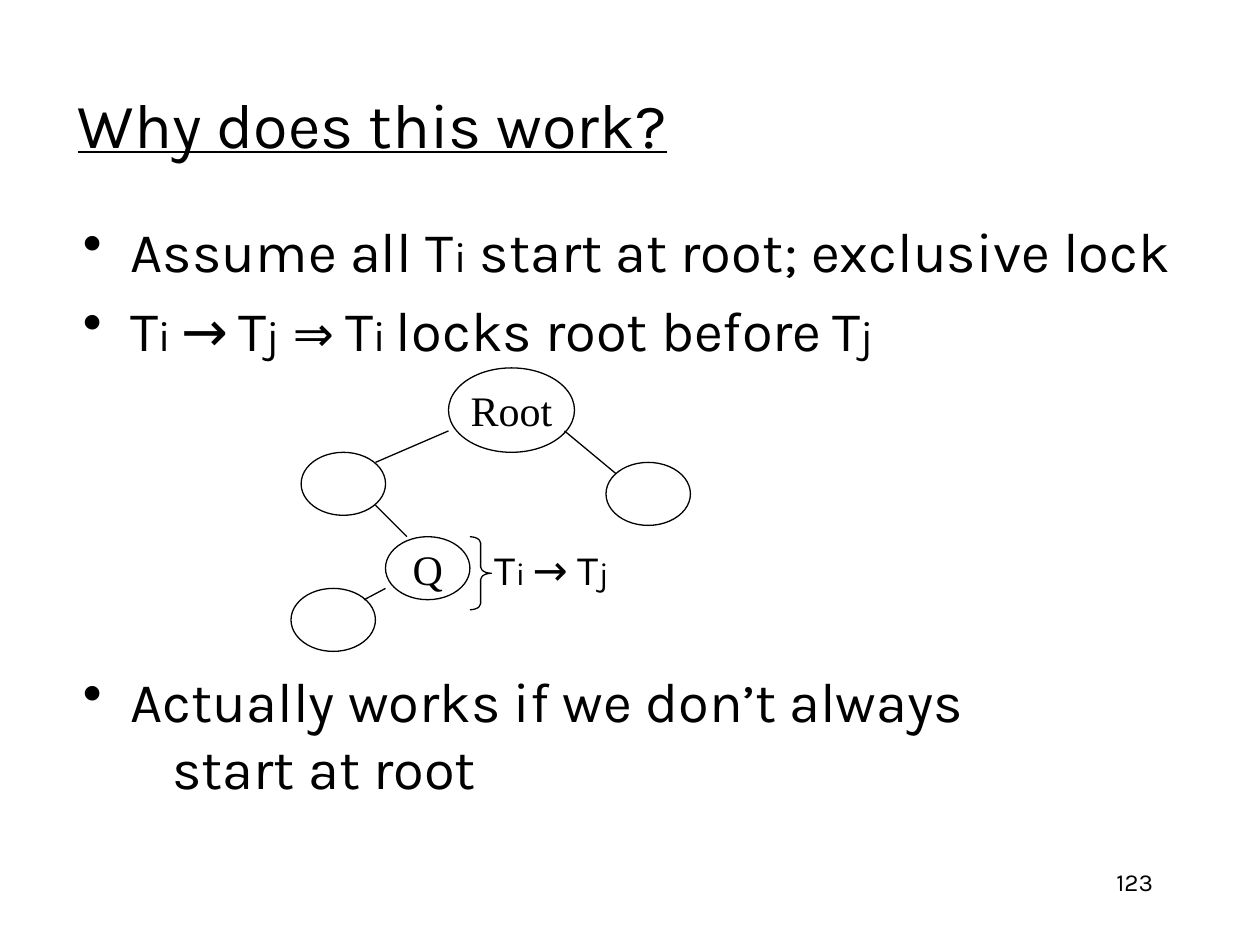
from lxml.etree import SubElement
from pptx import Presentation
from pptx.dml.color import RGBColor
from pptx.enum.shapes import MSO_CONNECTOR, MSO_SHAPE
from pptx.enum.text import MSO_ANCHOR, PP_ALIGN
from pptx.oxml.ns import qn
from pptx.util import Inches, Pt

COLORS = {"ink": "000000", "paper": "FFFFFF"}
SANS = "Karla"
SERIF = "Times New Roman"


def color(name):
    return RGBColor.from_string(COLORS[name])


def style_run(run, size, font=SANS):
    run.font.size = Pt(size)
    run.font.name = font
    run.font.color.rgb = color("ink")


def write_runs(paragraph, pieces):
    for text, size in pieces:
        run = paragraph.add_run()
        run.text = text
        style_run(run, size)


def add_box(slide, left, top, width, height, anchor=MSO_ANCHOR.TOP, wrap=True):
    box = slide.shapes.add_textbox(Inches(left), Inches(top), Inches(width), Inches(height))
    box.text_frame.word_wrap = wrap
    box.text_frame.vertical_anchor = anchor
    return box.text_frame


def add_title(slide, left, top, width, height):
    title = add_box(slide, left, top, width, height, MSO_ANCHOR.MIDDLE)
    title.text = "Why does this work?"
    heading = title.paragraphs[0].runs[0]
    style_run(heading, 36)
    heading.font.underline = True


def add_page_number(slide, left, top, width, height):
    number = add_box(slide, left, top, width, height)
    number.text = "123"
    number.paragraphs[0].alignment = PP_ALIGN.RIGHT
    style_run(number.paragraphs[0].runs[0], 14)


def set_indent(paragraph, margin, bullet):
    properties = paragraph._p.get_or_add_pPr()
    properties.set("marL", str(Inches(margin)))
    properties.set("indent", str(Inches(-margin if bullet else 0)))
    if bullet:
        SubElement(properties, qn("a:buChar")).set("char", "•")


def add_points(slide, left, top, width, height, points):
    body = add_box(slide, left, top, width, height)
    for index, (pieces, bullet) in enumerate(points):
        point = body.paragraphs[0] if index == 0 else body.add_paragraph()
        write_runs(point, pieces)
        point.space_before = Pt(6.4 if bullet else 0)
        set_indent(point, 0.38 if bullet else 0.71, bullet)


def draw_outline(shape):
    shape.shadow.inherit = False
    shape.line.color.rgb = color("ink")
    shape.line.width = Pt(0.75)


def add_node(slide, left, top, width, height, label):
    node = slide.shapes.add_shape(
        MSO_SHAPE.OVAL, Inches(left), Inches(top), Inches(width), Inches(height))
    draw_outline(node)
    node.fill.solid()
    node.fill.fore_color.rgb = color("paper")
    if label:
        frame = node.text_frame
        frame.word_wrap = False
        frame.vertical_anchor = MSO_ANCHOR.MIDDLE
        frame.text = label
        frame.paragraphs[0].alignment = PP_ALIGN.CENTER
        style_run(frame.paragraphs[0].runs[0], 24, SERIF)


def add_edge(slide, start_x, start_y, end_x, end_y):
    edge = slide.shapes.add_connector(
        MSO_CONNECTOR.STRAIGHT,
        Inches(start_x), Inches(start_y), Inches(end_x), Inches(end_y))
    edge.line.color.rgb = color("ink")
    edge.line.width = Pt(0.75)
    SubElement(edge._element.spPr, qn("a:effectLst"))


def add_tree(slide, left, top):
    nodes = [
        (1.25, 0, 1, 0.67, "Root"),
        (0.08, 0.67, 0.67, 0.5, ""),
        (2.5, 0.75, 0.67, 0.5, ""),
        (0.75, 1.34, 0.67, 0.5, "Q"),
        (0, 1.75, 0.67, 0.5, ""),
    ]
    edges = [
        (1.25, 0.5, 0.67, 0.75),
        (2.17, 0.5, 2.58, 0.84),
        (0.67, 1.09, 0.92, 1.34),
        (0.75, 1.75, 0.58, 1.84),
    ]
    for x, y, width, height, label in nodes:
        add_node(slide, left + x, top + y, width, height, label)
    for start_x, start_y, end_x, end_y in edges:
        add_edge(slide, left + start_x, top + start_y, left + end_x, top + end_y)

    brace = slide.shapes.add_shape(
        MSO_SHAPE.RIGHT_BRACE,
        Inches(left + 1.42), Inches(top + 1.34), Inches(0.17), Inches(0.58))
    brace.adjustments[0] = 0.29
    brace.fill.background()
    draw_outline(brace)

    order = add_box(slide, left + 1.35, top + 1.34, 1.44, 0.5, MSO_ANCHOR.MIDDLE, False)
    order.paragraphs[0].alignment = PP_ALIGN.CENTER
    write_runs(order.paragraphs[0], [("T", 24), ("i ", 18), ("→ T", 24), ("j", 18)])


def main():
    presentation = Presentation()
    presentation.slide_width = Inches(10)
    presentation.slide_height = Inches(7.5)
    slide = presentation.slides.add_slide(presentation.slide_layouts[6])

    assumptions = [
        ([("Assume all T", 32), ("i", 24), (" start at root; exclusive lock", 32)], True),
        ([("T", 32), ("i ", 24), ("→", 32), (" ", 24), ("T", 32), ("j", 24), (" ", 32),
          ("⇒ ", 28), ("T", 32), ("i ", 24), ("locks root before", 32), (" ", 24),
          ("T", 32), ("j", 24)], True),
    ]
    conclusion = [
        ([("Actually works if we don’t always", 32)], True),
        ([("start at root", 32)], False),
    ]
    add_page_number(slide, 7.17, 6.83, 2.08, 0.5)
    add_title(slide, 0.52, 0.49, 8.5, 0.97)
    add_points(slide, 0.56, 1.67, 9, 1.25, assumptions)
    add_points(slide, 0.56, 5.24, 9, 1.25, conclusion)
    add_tree(slide, 2.31, 2.92)
    presentation.save("out.pptx")


if __name__ == "__main__":
    main()
